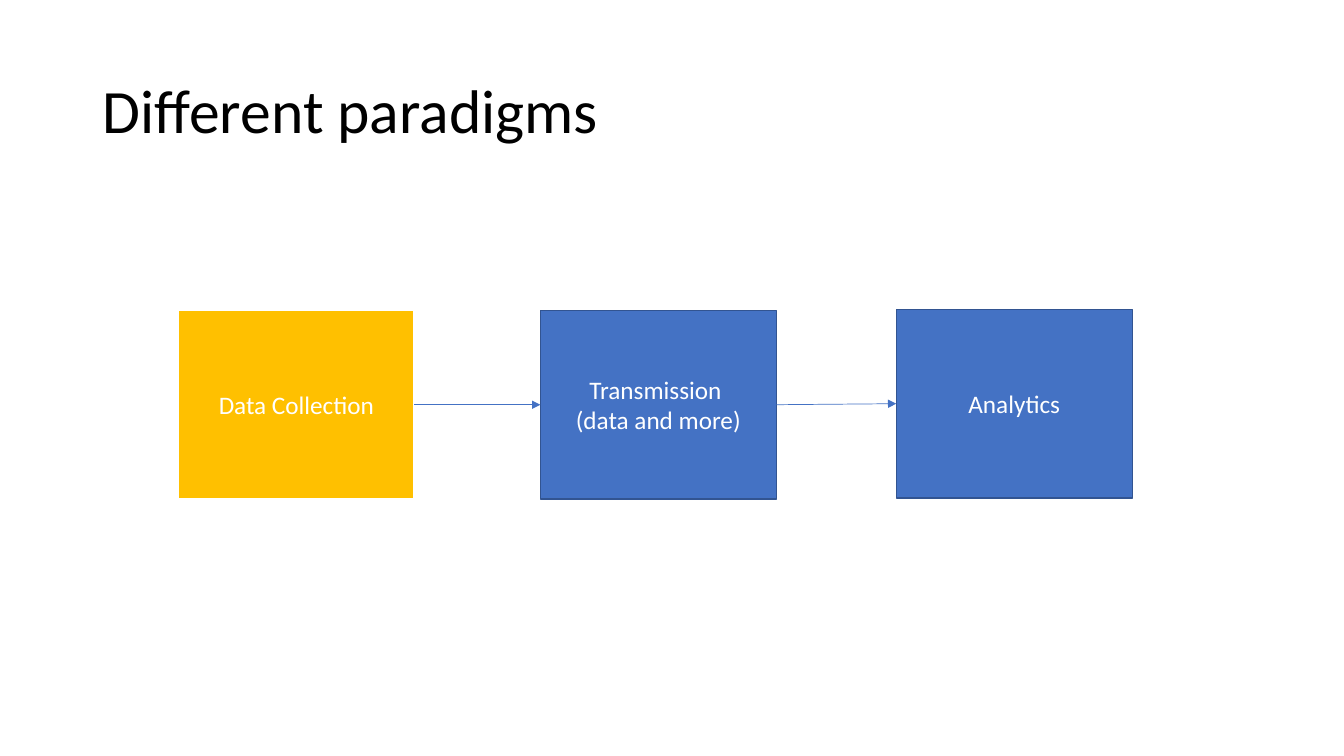
from pptx import Presentation
from pptx.dml.color import RGBColor
from pptx.enum.shapes import MSO_CONNECTOR as Conn, MSO_SHAPE as Shape
from pptx.enum.text import MSO_ANCHOR as Anchor, PP_ALIGN as Align
from pptx.oxml.ns import qn
from pptx.util import Inches, Pt
from lxml.etree import SubElement as Sub


def color(code):
    return RGBColor.from_string(code)


class Deck:
    font = "Calibri"
    white, black = "FFFFFF", "000000"
    blue, navy, gold = "4472C4", "325491", "FFC000"
    wide, high = 2.34, 1.87

    def __init__(self):
        self.prs = Presentation()
        self.prs.slide_width = Inches(13.33)
        self.prs.slide_height = Inches(7.5)
        # Title Only layout
        self.slide = self.prs.slides.add_slide(self.prs.slide_layouts[5])

    def label(self, frame, lines, size, tint, align):
        frame.word_wrap = True
        frame.vertical_anchor = Anchor.MIDDLE
        frame.text = "\n".join(lines)
        for para in frame.paragraphs:
            para.alignment = align
            for run in para.runs:
                run.font.name = self.font
                run.font.size = Pt(size)
                run.font.color.rgb = color(tint)

    def title(self, text):
        head = self.slide.shapes.title
        head.left, head.top = Inches(0.92), Inches(0.4)
        head.width, head.height = Inches(11.5), Inches(1.45)
        self.label(head.text_frame, [text], 44, self.black, Align.LEFT)
        head.text_frame.paragraphs[0].line_spacing = 0.9

    def box(self, left, top, lines, fill, edge, weight):
        box = self.slide.shapes.add_shape(
            Shape.RECTANGLE, Inches(left), Inches(top),
            Inches(self.wide), Inches(self.high))
        box.shadow.inherit = False
        box.fill.solid()
        box.fill.fore_color.rgb = color(fill)
        box.line.color.rgb = color(edge)
        box.line.width = Pt(weight)
        self.label(box.text_frame, lines, 18, self.white, Align.CENTER)

    def arrow(self, start, end):
        points = [Inches(n) for n in start + end]
        link = self.slide.shapes.add_connector(Conn.STRAIGHT, *points)
        link.line.color.rgb = color(self.blue)
        link.line.width = Pt(0.5)
        props = link.element.spPr
        Sub(props.find(qn("a:ln")), qn("a:tailEnd"), type="triangle")
        Sub(props, qn("a:effectLst"))

    def save(self):
        self.prs.save("out.pptx")


def main():
    deck = Deck()
    deck.title("Different paradigms")

    # Pipeline stages
    stages = [
        (1.77, 3.08, ["Data Collection"], deck.gold, deck.white, 1.5),
        (5.36, 3.08, ["Transmission ", "(data and more)"],
         deck.blue, deck.navy, 1),
        (8.89, 3.07, ["Analytics"], deck.blue, deck.navy, 1),
    ]
    for stage in stages:
        deck.box(*stage)

    # Arrows from each stage to the next
    half = deck.high / 2
    for (left, top, *_), (goal, level, *_) in zip(stages, stages[1:]):
        deck.arrow((left + deck.wide, top + half), (goal, level + half))

    deck.save()


if __name__ == "__main__":
    main()
